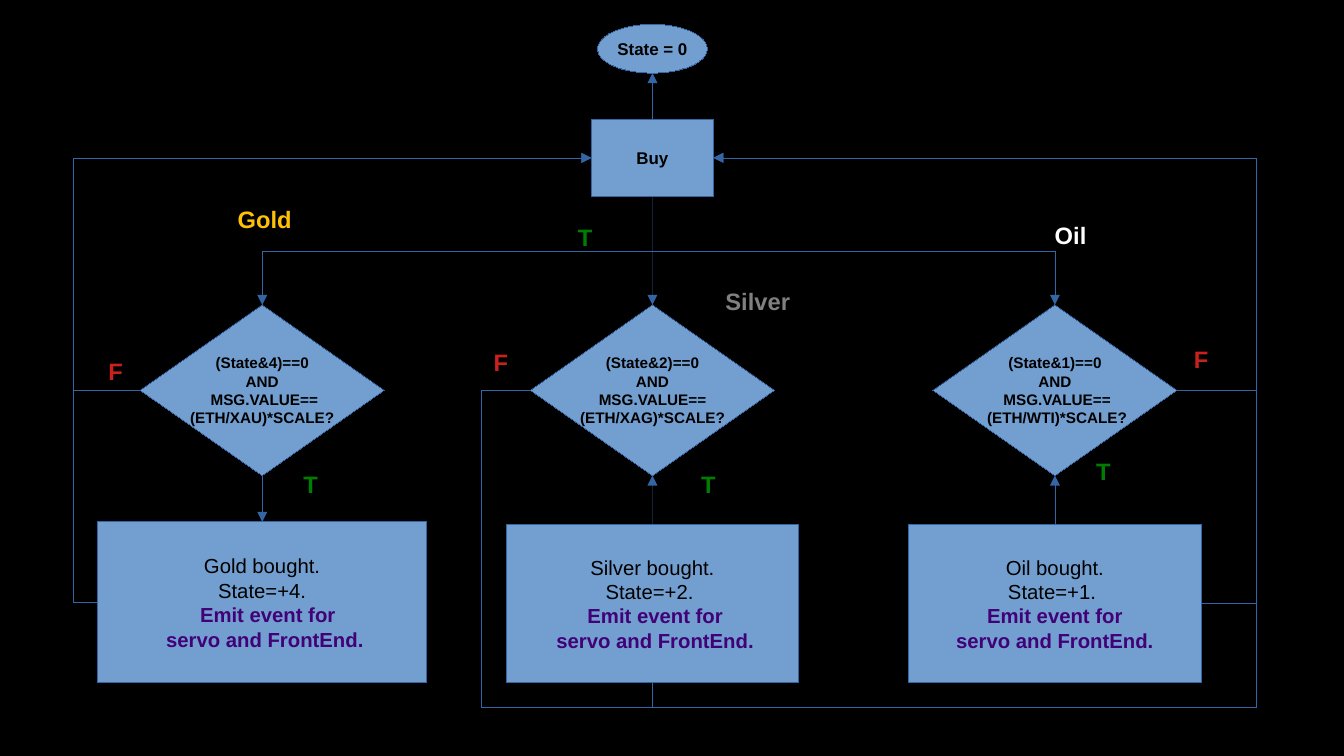
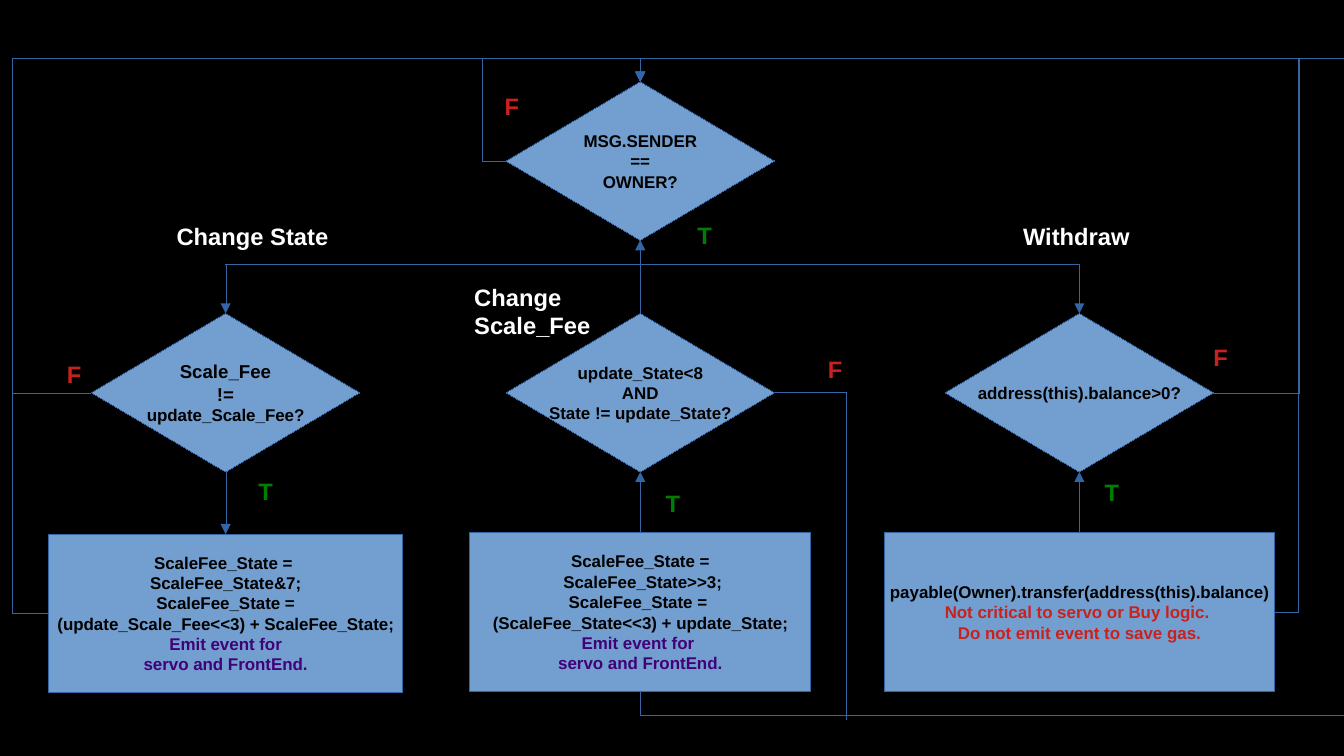
from itertools import pairwise

from lxml.etree import SubElement
from pptx import Presentation
from pptx.dml.color import RGBColor
from pptx.enum.shapes import MSO_CONNECTOR, MSO_SHAPE
from pptx.enum.text import MSO_ANCHOR, PP_ALIGN
from pptx.oxml.ns import qn
from pptx.util import Inches, Pt

COLORS = {
    "background": "000000",
    "fill": "729FCF",
    "line": "3465A4",
    "black": "000000",
    "white": "FFFFFF",
    "purple": "410278",
    "red": "C9211E",
    "green": "007E02",
    "gold": "FFC107",
    "silver": "808080",
}
HAIRLINE = Pt(0.01)
SITES = [(0.5, 0), (0, 0.5), (0.5, 1), (1, 0.5)]
DIAMOND, RECTANGLE, OVAL = MSO_SHAPE.DIAMOND, MSO_SHAPE.RECTANGLE, MSO_SHAPE.OVAL


def write(box, text, size=10, bold=True, color="black", align=PP_ALIGN.CENTER):
    frame = box.text_frame
    for line in text.split("\n"):
        para = frame.paragraphs[0] if not frame.text else frame.add_paragraph()
        para.alignment = align
        span = para.add_run()
        span.text = line
        span.font.name = "Arial"
        span.font.size = Pt(size)
        span.font.bold = bold
        span.font.color.rgb = RGBColor.from_string(COLORS[color])


def route(page, nodes, stops, arrow):
    points = []
    for first, second in stops:
        if first in nodes:
            box = nodes[first]
            across, down = SITES[second]
            points.append((int(box.left + across * box.width), int(box.top + down * box.height)))
        else:
            points.append((Inches(first), Inches(second)))
    bent = len(stops) > 2 and stops[0][0] in nodes and stops[-1][0] in nodes
    legs = [(0, len(stops) - 1)] if bent else list(pairwise(range(len(stops))))
    kind = MSO_CONNECTOR.ELBOW if bent else MSO_CONNECTOR.STRAIGHT
    for start, stop in legs:
        leg = page.shapes.add_connector(kind, *points[start], *points[stop])
        leg.line.color.rgb = RGBColor.from_string(COLORS["line"])
        leg.line.width = HAIRLINE
        if stops[start][0] in nodes:
            leg.begin_connect(nodes[stops[start][0]], stops[start][1])
        if stops[stop][0] in nodes:
            leg.end_connect(nodes[stops[stop][0]], stops[stop][1])
        shape = leg._element.spPr
        if bent:
            geometry = shape.find(qn("a:prstGeom"))
            geometry.set("prst", f"bentConnector{len(stops) - 1}")
            guides = geometry.find(qn("a:avLst"))
            if guides is None:
                guides = SubElement(geometry, qn("a:avLst"))
            for index in range(1, len(stops) - 2):
                axis = (index + 1) % 2
                begin, end = points[0][axis], points[-1][axis]
                share = round((points[index][axis] - begin) / (end - begin) * 100000)
                SubElement(guides, qn("a:gd"), name=f"adj{index}", fmla=f"val {share}")
            if points[1][0] < points[0][0]:
                frame = shape.find(qn("a:xfrm"))
                frame.set("rot", "10800000")
                for flip in ("flipH", "flipV"):
                    frame.set(flip, "0" if frame.get(flip) in ("1", "true") else "1")
        if arrow and stop == len(stops) - 1:
            SubElement(shape.find(qn("a:ln")), qn("a:tailEnd"), type="triangle")
        SubElement(shape, qn("a:effectLst"))


emit_event = "Emit event for\nservo and FrontEnd."
small = {"size": 9}
bought = {"size": 12, "bold": False}
event = {"size": 12, "color": "purple"}

buy_chart = {
    "nodes": {
        "start": (OVAL, 4.9, 0.2, 0.9, 0.4, [("State = 0", {})]),
        "buy": (RECTANGLE, 4.85, 0.98, 1, 0.63, [("Buy", {})]),
        "gold test": (DIAMOND, 1.15, 2.5, 2, 1.4,
                      [("(State&4)==0\nAND\n MSG.VALUE==\n(ETH/XAU)*SCALE?", small)]),
        "silver test": (DIAMOND, 4.35, 2.5, 2, 1.4,
                        [("(State&2)==0\nAND\n MSG.VALUE== \n(ETH/XAG)*SCALE?", small)]),
        "oil test": (DIAMOND, 7.65, 2.5, 2, 1.4,
                     [("(State&1)==0\nAND\n MSG.VALUE==\n (ETH/WTI)*SCALE?", small)]),
        "gold bought": (RECTANGLE, 0.8, 4.28, 2.7, 1.32,
                        [("Gold bought.\nState=+4.", bought),
                         ("  Emit event for\n servo and FrontEnd.", event)]),
        "silver bought": (RECTANGLE, 4.15, 4.3, 2.4, 1.3,
                          [("Silver bought.\nState=+2. ", bought),
                           (" Emit event for\n servo and FrontEnd.", event)]),
        "oil bought": (RECTANGLE, 7.45, 4.3, 2.4, 1.3,
                       [("Oil bought.\nState=+1. ", bought),
                        (" Emit event for \nservo and FrontEnd.", event)]),
    },
    "labels": [
        ("Gold", "gold", 1.85, 1.63, 1.06),
        ("Silver", "silver", 5.85, 2.3, 0.8),
        ("Oil", "white", 8.55, 1.76, 0.7),
        ("F", "red", 0.79, 2.88, 0.46),
        ("F", "red", 3.95, 2.8, 0.46),
        ("F", "red", 9.69, 2.78, 0.46),
        ("T", "green", 4.64, 1.78, 0.46),
        ("T", "green", 2.39, 3.8, 0.46),
        ("T", "green", 5.65, 3.8, 0.46),
        ("T", "green", 8.89, 3.7, 0.46),
    ],
    "arrows": [
        [("buy", 0), (5.35, 0.6)],
        [("buy", 2), ("silver test", 0)],
        [(5.35, 2.06), (2.15, 2.06), ("gold test", 0)],
        [(5.35, 2.06), (8.65, 2.06), ("oil test", 0)],
        [("gold test", 2), ("gold bought", 0)],
        [("silver bought", 0), ("silver test", 2)],
        [("oil bought", 0), ("oil test", 2)],
        [("gold bought", 1), (0.6, 4.94), (0.6, 1.29), ("buy", 1)],
        [("gold test", 1), (0.6, 3.2), (0.6, 1.29), ("buy", 1)],
        [("oil bought", 3), (10.3, 4.95), (10.3, 1.29), ("buy", 3)],
        [("oil test", 3), (10.3, 3.2), (10.3, 1.29), ("buy", 3)],
    ],
    "lines": [
        [("silver test", 1), (3.95, 3.2), (3.95, 5.8), (5.35, 5.8), ("silver bought", 2)],
        [(5.35, 5.8), (10.3, 5.8), (10.3, 4.95)],
    ],
}

owner_chart = {
    "nodes": {
        "owner test": (DIAMOND, 4.15, 0.67, 2.2, 1.3, [("MSG.SENDER\n==\nOWNER?", {})]),
        "fee test": (DIAMOND, 0.75, 2.57, 2.2, 1.3,
                     [("Scale_Fee\n!=", {"size": 11}), ("update_Scale_Fee?", {})]),
        "state test": (DIAMOND, 4.15, 2.57, 2.2, 1.3,
                       [("update_State<8\nAND\nState != update_State?", {})]),
        "balance test": (DIAMOND, 7.75, 2.57, 2.2, 1.3, [("address(this).balance>0?", {})]),
        "fee update": (RECTANGLE, 0.4, 4.38, 2.9, 1.3,
                       [("ScaleFee_State = \nScaleFee_State&7;\n ScaleFee_State = \n"
                         "(update_Scale_Fee<<3) + ScaleFee_State;", {}),
                        (emit_event, {"color": "purple"})]),
        "state update": (RECTANGLE, 3.85, 4.37, 2.8, 1.3,
                         [("ScaleFee_State =\n ScaleFee_State>>3;\nScaleFee_State = \n"
                           "(ScaleFee_State<<3) + update_State;", {}),
                          ("Emit event for \nservo and FrontEnd.", {"color": "purple"})]),
        "transfer": (RECTANGLE, 7.25, 4.37, 3.2, 1.3,
                     [("payable(Owner).transfer(address(this).balance)", {}),
                      ("Not critical to servo or Buy logic. \nDo not emit event to save gas.",
                       {"color": "red"})]),
    },
    "labels": [
        ("Change State", "white", 1.35, 1.77, 1.46),
        ("Change Scale_Fee", "white", 3.79, 2.27, 1.46),
        ("Withdraw", "white", 8.29, 1.77, 1.46),
        ("F", "red", 4.04, 0.7, 0.46),
        ("F", "red", 0.45, 2.9, 0.46),
        ("F", "red", 6.69, 2.86, 0.46),
        ("F", "red", 9.85, 2.76, 0.46),
        ("T", "green", 5.62, 1.76, 0.46),
        ("T", "green", 2.02, 3.86, 0.46),
        ("T", "green", 5.36, 3.96, 0.46),
        ("T", "green", 8.96, 3.87, 0.46),
    ],
    "arrows": [
        [("state test", 0), ("owner test", 2)],
        [(5.25, 2.17), (1.85, 2.17), ("fee test", 0)],
        [(5.25, 2.17), (8.85, 2.17), ("balance test", 0)],
        [("fee test", 2), ("fee update", 0)],
        [("state update", 0), ("state test", 2)],
        [("transfer", 0), ("balance test", 2)],
        [("owner test", 1), (3.95, 1.32), (3.95, 0.48), (5.25, 0.48), ("owner test", 0)],
        [("fee update", 1), (0.1, 5.03), (0.1, 0.48), (5.25, 0.48), ("owner test", 0)],
        [("fee test", 1), (0.1, 3.22), (0.1, 0.48), (5.25, 0.48), ("owner test", 0)],
        [("transfer", 3), (10.65, 5.02), (10.65, 0.48), (5.25, 0.48), ("owner test", 0)],
        [("balance test", 3), (10.65, 3.22), (10.65, 0.48), (5.25, 0.48), ("owner test", 0)],
    ],
    "lines": [
        [("state test", 3), (6.94, 3.22), (6.94, 5.9)],
        [("state update", 2), (5.25, 5.87), (11.02, 5.87)],
        [(11.02, 0.48), (10.65, 0.48)],
    ],
}

deck = Presentation()
deck.slide_width = Inches(11.02)
deck.slide_height = Inches(6.2)
backdrop = deck.slide_master.background.fill
backdrop.solid()
backdrop.fore_color.rgb = RGBColor.from_string(COLORS["background"])

for chart in (buy_chart, owner_chart):
    page = deck.slides.add_slide(deck.slide_layouts[6])
    nodes = {}
    for name, (preset, left, top, width, height, texts) in chart["nodes"].items():
        box = page.shapes.add_shape(
            preset, Inches(left), Inches(top), Inches(width), Inches(height))
        box.shadow.inherit = False
        box.fill.solid()
        box.fill.fore_color.rgb = RGBColor.from_string(COLORS["fill"])
        box.line.color.rgb = RGBColor.from_string(COLORS["line"])
        box.line.width = HAIRLINE
        box.text_frame.word_wrap = False
        box.text_frame.vertical_anchor = MSO_ANCHOR.MIDDLE
        for text, style in texts:
            write(box, text, **style)
        nodes[name] = box
    for text, color, left, top, width in chart["labels"]:
        label = page.shapes.add_textbox(Inches(left), Inches(top), Inches(width), Inches(0.32))
        label.text_frame.word_wrap = True
        write(label, text, size=14, color=color, align=PP_ALIGN.LEFT)
    for group in ("arrows", "lines"):
        for stops in chart[group]:
            route(page, nodes, stops, group == "arrows")

deck.save("out.pptx")
